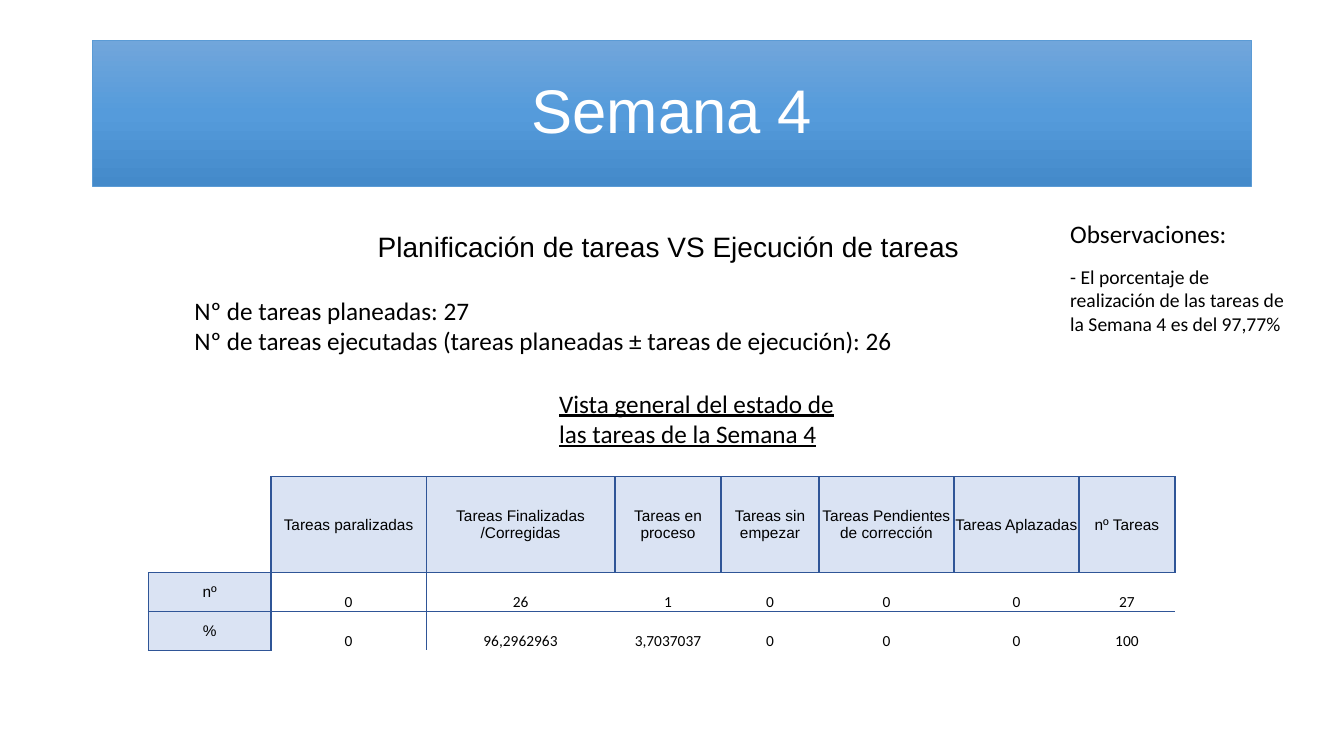
from copy import deepcopy
from pptx import Presentation
from pptx.dml.color import RGBColor
from pptx.enum.text import MSO_ANCHOR, MSO_AUTO_SIZE, PP_ALIGN
from pptx.oxml import parse_xml
from pptx.oxml.ns import nsdecls, qn
from pptx.util import Cm, Pt

MIDDLE, BOTTOM = MSO_ANCHOR.MIDDLE, MSO_ANCHOR.BOTTOM
CENTER = PP_ALIGN.CENTER
GROW = MSO_AUTO_SIZE.SHAPE_TO_FIT_TEXT
EDGE, PALE = "2F5597", "DAE3F3"
PLAIN = "{2D5ABB26-0587-4C30-8999-92F81FD0307C}"


def rgb(code):
    return RGBColor.from_string(code)


def write(para, text, size, face, color="000000"):
    run = para.add_run()
    run.text = text
    run.font.size = Pt(size)
    run.font.name = face
    run.font.color.rgb = rgb(color)
    return run


deck = Presentation()
deck.slide_width, deck.slide_height = Cm(33.87), Cm(19.05)
slide = deck.slides.add_slide(deck.slide_layouts[5])

title = slide.shapes.title
title.left, title.top, title.width, title.height = Cm(2.33), Cm(1.01), Cm(29.21), Cm(3.68)
title.fill.gradient()
title.fill.gradient_angle = 270
stops = title._element.spPr.find(".//" + qn("a:gsLst"))
stops.insert(1, deepcopy(stops[0]))
shades = [(0, "71A6DB"), (0.5, "559BDB"), (1, "448ACA")]
for stop, (place, color) in zip(title.fill.gradient_stops, shades):
    stop.position = place
    stop.color.rgb = rgb(color)
title.line.color.rgb = rgb("5B9BD5")
title.line.width = Pt(0.5)
title.text_frame.vertical_anchor = MIDDLE
head = title.text_frame.paragraphs[0]
head.alignment = CENTER
head.line_spacing = 0.9
write(head, "Semana 4", 44, "Arial", "FFFFFF")

notes = [
    (9.27, 5.66, 15.34, 1.12, 20, "Arial", False,
     ["Planificación de tareas VS Ejecución de tareas"]),
    (4.65, 7.32, 18.97, 1.8, 18, "Calibri", False,
     ["Nº de tareas planeadas: 27",
      "Nº de tareas ejecutadas (tareas planeadas ± tareas de ejecución): 26"]),
    (13.84, 9.65, 7.75, 1.8, 18, "Calibri", True,
     ["Vista general del estado de las tareas de la Semana 4"]),
    (26.72, 5.38, 6.27, 1.02, 18, "Calibri", False, ["Observaciones:"]),
    (26.72, 6.55, 6.25, 2.06, 14, "Calibri", False,
     ["- El porcentaje de realización de las tareas de la Semana 4 es del 97,77%"]),
]
for left, top, width, height, size, face, under, lines in notes:
    box = slide.shapes.add_textbox(Cm(left), Cm(top), Cm(width), Cm(height))
    frame = box.text_frame
    frame.word_wrap = True
    frame.auto_size = GROW
    for i, line in enumerate(lines):
        para = frame.add_paragraph() if i else frame.paragraphs[0]
        run = write(para, line, size, face)
        if under:
            run.font.underline = True

data = [
    ["", "Tareas paralizadas", "Tareas Finalizadas /Corregidas", "Tareas en proceso",
     "Tareas sin empezar", "Tareas Pendientes de corrección", "Tareas Aplazadas", "nº Tareas"],
    ["nº", "0", "26", "1", "0", "0", "0", "27"],
    ["%", "0", "96,2962963", "3,7037037", "0", "0", "0", "100"],
]
widths = [3.09, 3.91, 4.76, 2.67, 2.47, 3.4, 3.15, 2.42]
heights = [2.42, 0.98, 0.98]
grid = slide.shapes.add_table(3, 8, Cm(3.74), Cm(12.01), Cm(sum(widths)), Cm(sum(heights)))
table = grid.table
table.first_row = table.horz_banding = False
table._tbl.tblPr.find(qn("a:tableStyleId")).text = PLAIN
for col, width in zip(table.columns, widths):
    col.width = Cm(width)
for row, height in zip(table.rows, heights):
    row.height = Cm(height)

labels = {(r, c) for r in range(3) for c in range(8) if (r == 0) != (c == 0)}
sides = [("L", 0, -1), ("R", 0, 1), ("T", -1, 0), ("B", 1, 0)]
for r, texts in enumerate(data):
    for c, text in enumerate(texts):
        cell = table.cell(r, c)
        label = (r, c) in labels
        inset = Cm(0.02) if label else 0
        cell.margin_left = cell.margin_right = cell.margin_top = inset
        cell.margin_bottom = 0
        cell.vertical_anchor = MIDDLE if label else BOTTOM
        for side, down, right in sides:
            if label or (r + down, c + right) in labels:
                cell._tc.get_or_add_tcPr().append(parse_xml(
                    f'<a:ln{side} {nsdecls("a")} w="12700"><a:solidFill>'
                    f'<a:srgbClr val="{EDGE}"/></a:solidFill></a:ln{side}>'))
        if label:
            cell.fill.solid()
            cell.fill.fore_color.rgb = rgb(PALE)
        else:
            cell.fill.background()
        if text:
            para = cell.text_frame.paragraphs[0]
            para.alignment = CENTER
            write(para, text, 11, "Arial" if label else "Calibri")

deck.save("out.pptx")
